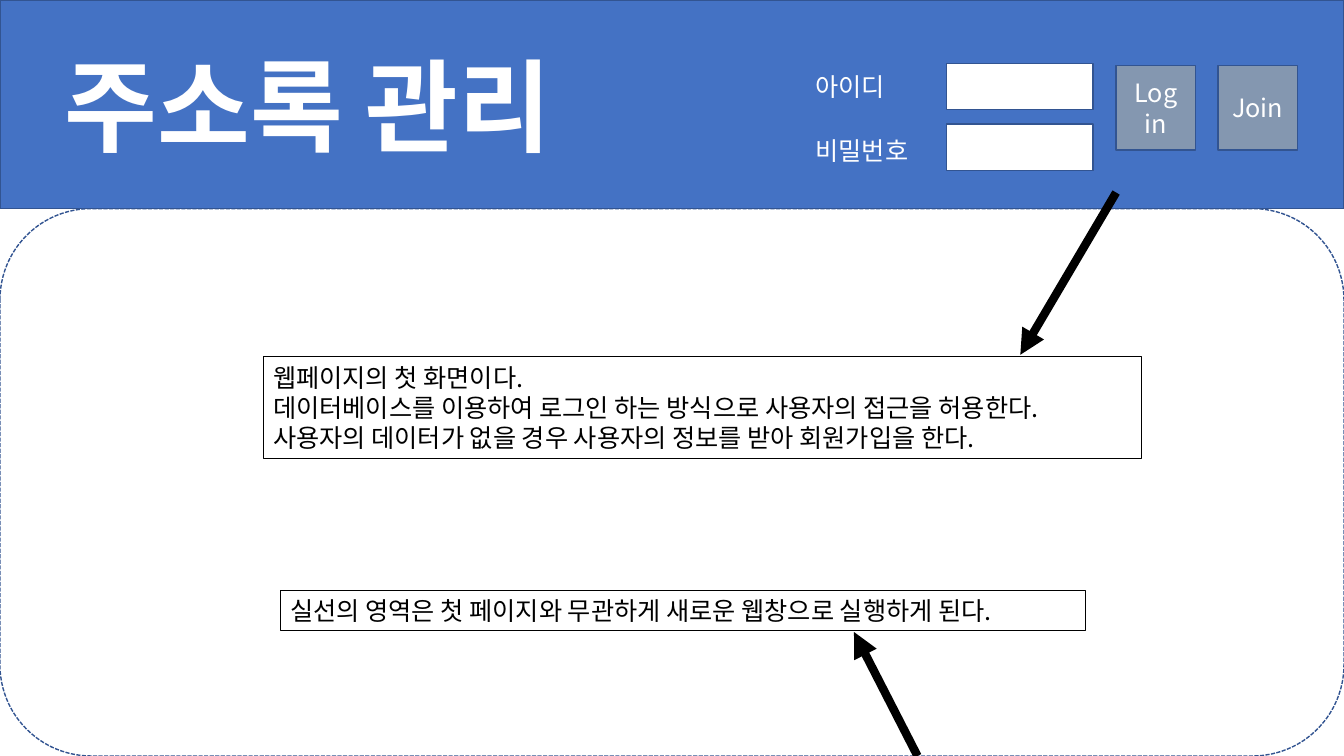
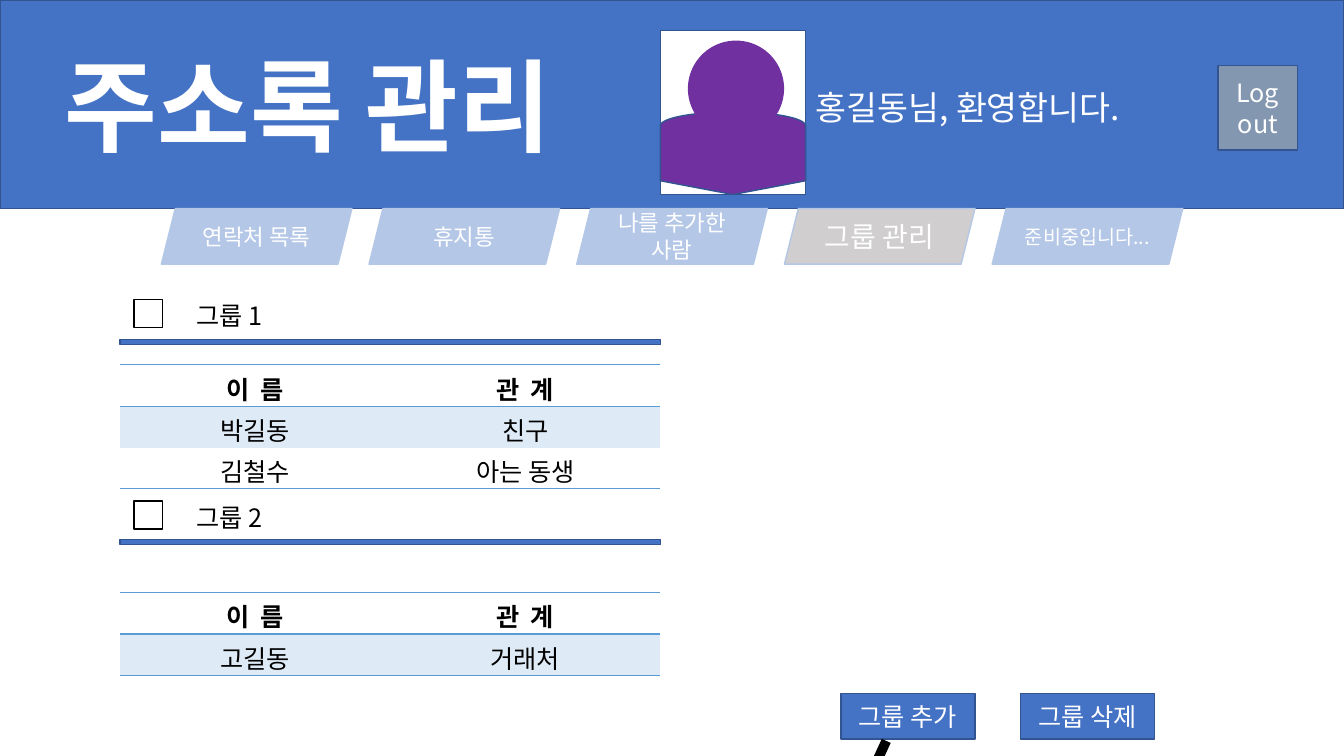
import pptx
import pptx.util
import pptx.dml.color
import pptx.enum.dml
import pptx.enum.shapes
import pptx.enum.text
import pptx.oxml
import pptx.oxml.ns

Inches = pptx.util.Inches
Pt = pptx.util.Pt
RGBColor = pptx.dml.color.RGBColor
MSO_SHAPE = pptx.enum.shapes.MSO_SHAPE
MSO_AUTO_SIZE = pptx.enum.text.MSO_AUTO_SIZE
MSO_ANCHOR = pptx.enum.text.MSO_ANCHOR
PP_ALIGN = pptx.enum.text.PP_ALIGN
qn = pptx.oxml.ns.qn

# Shared style
FONT = "Noto Sans CJK KR"
WHITE = RGBColor(0xFF, 0xFF, 0xFF)
BLACK = RGBColor(0x00, 0x00, 0x00)
BLUE = RGBColor(0x44, 0x72, 0xC4)
EDGE = RGBColor(0x32, 0x54, 0x91)
SLATE = RGBColor(0x84, 0x97, 0xB0)
TAB_BLUE = RGBColor(0xB4, 0xC7, 0xE7)
TAB_GRAY = RGBColor(0xD0, 0xCE, 0xCE)
PURPLE = RGBColor(0x70, 0x30, 0xA0)
RULE = RGBColor(0x5B, 0x9B, 0xD5)
ROW_TINT = RGBColor(0xDE, 0xEB, 0xF7)
WIDTH, HEIGHT, BAND_HEIGHT = 13.33, 7.5, 2.07
PLAIN_TABLE_STYLE = "{2D5ABB26-0587-4C30-8999-92F81FD0307C}"
BUTTON_LEFT = 12.08


def add_xml(parent, tag, **attributes):
    element = pptx.oxml.parse_xml(
        f'<a:{tag} xmlns:a="http://schemas.openxmlformats.org/drawingml/2006/main"/>')
    for key, value in attributes.items():
        element.set(key, value)
    parent.append(element)
    return element


class Page:
    """Holds the deck's style and the slide being built."""

    def __init__(self, deck):
        self.slide = deck.slides.add_slide(deck.slide_layouts[5])
        self.shapes = self.slide.shapes

    def set_text(self, frame, text, size, color, bold=False, align=PP_ALIGN.LEFT, spacing=0):
        frame.text = text
        for paragraph in frame.paragraphs:
            paragraph.alignment = align
            for run in paragraph.runs:
                run.font.size = Pt(size)
                run.font.bold = bold
                run.font.color.rgb = color
                run.font.name = FONT
                properties = run._r.get_or_add_rPr()
                add_xml(properties, "ea", typeface=FONT)
                if spacing:
                    properties.set("spc", str(spacing * 100))

    def shape(self, kind, left, top, width, height, fill, line=EDGE, text="", size=18):
        shape = self.shapes.add_shape(
            kind, Inches(left), Inches(top), Inches(width), Inches(height))
        shape.shadow.inherit = False
        shape.fill.solid()
        shape.fill.fore_color.rgb = fill
        shape.line.color.rgb = line
        shape.line.width = Pt(1)
        if text:
            shape.text_frame.vertical_anchor = MSO_ANCHOR.MIDDLE
            self.set_text(shape.text_frame, text, size, WHITE, align=PP_ALIGN.CENTER)
        return shape

    def rect(self, *place_and_style, **options):
        return self.shape(MSO_SHAPE.RECTANGLE, *place_and_style, **options)

    def button(self, left, text):
        self.rect(left, 0.65, 0.79, 0.84, SLATE, text=text)

    def label(self, left, top, width, height, text, color, size=18, wrap=False, boxed=False):
        box = self.shapes.add_textbox(
            Inches(left), Inches(top), Inches(width), Inches(height))
        box.text_frame.word_wrap = wrap
        box.text_frame.auto_size = MSO_AUTO_SIZE.SHAPE_TO_FIT_TEXT
        if boxed:
            box.line.color.rgb = BLACK
            box.line.width = Pt(0.75)
        self.set_text(box.text_frame, text, size, color)

    def header(self):
        self.rect(0, 0, WIDTH, BAND_HEIGHT, BLUE)
        title = self.shapes.title
        title.left, title.top = Inches(0.54), Inches(0.38)
        title.width, title.height = Inches(5.61), Inches(1.31)
        frame = title.text_frame
        frame.word_wrap = False
        frame.auto_size = MSO_AUTO_SIZE.SHAPE_TO_FIT_TEXT
        frame.vertical_anchor = MSO_ANCHOR.TOP
        self.set_text(frame, "주소록 관리", 72, WHITE, bold=True)
        # Bring the title in front of the band
        self.shapes._spTree.append(title._element)

    def arrow(self, x1, y1, x2, y2, weight=6):
        arrow = self.shapes.add_connector(
            pptx.enum.shapes.MSO_CONNECTOR.STRAIGHT,
            Inches(x1), Inches(y1), Inches(x2), Inches(y2))
        arrow.line.color.rgb = BLACK
        arrow.line.width = Pt(weight)
        add_xml(arrow.line._get_or_add_ln(), "tailEnd", type="triangle")
        add_xml(arrow._element.spPr, "effectLst")

    def cell_border(self, cell, side):
        border = add_xml(cell._tc.get_or_add_tcPr(), side, w=str(Pt(1)))
        fill = add_xml(border, "solidFill")
        add_xml(fill, "srgbClr", val=str(RULE))

    def table(self, top, rows):
        row_height = 0.41
        frame = self.shapes.add_table(
            len(rows), 2, Inches(1.19), Inches(top),
            Inches(5.36), Inches(row_height * len(rows)))
        table = frame.table
        table.horz_banding = False
        table._tbl.tblPr.find(qn("a:tableStyleId")).text = PLAIN_TABLE_STYLE
        for r, row in enumerate(rows):
            table.rows[r].height = Inches(row_height)
            is_header = r == 0
            for c, text in enumerate(row):
                cell = table.cell(r, c)
                self.set_text(cell.text_frame, text, 18, BLACK, bold=is_header,
                              align=PP_ALIGN.CENTER, spacing=2 if is_header else 0)
                if is_header:
                    self.cell_border(cell, "lnT")
                if is_header or r == len(rows) - 1:
                    self.cell_border(cell, "lnB")
                if r % 2:
                    cell.fill.solid()
                    cell.fill.fore_color.rgb = ROW_TINT
                else:
                    cell.fill.background()

    def group(self, name, label_top, bar_top, table_top, members):
        self.rect(1.19, bar_top, 5.36, 0.05, BLUE)
        self.label(1.85, label_top, 0.93, 0.4, name, BLACK)
        self.rect(1.33, label_top + 0.04, 0.28, 0.28, WHITE, line=BLACK)
        self.table(table_top, [("이 름", "관 계")] + members)


deck = pptx.Presentation()
deck.slide_width, deck.slide_height = Inches(WIDTH), Inches(HEIGHT)

# Slide 1: start page with login
start = Page(deck)
content_area = start.shape(MSO_SHAPE.ROUNDED_RECTANGLE, 0, BAND_HEIGHT,
                           WIDTH, HEIGHT - BAND_HEIGHT, WHITE)
content_area.line.dash_style = pptx.enum.dml.MSO_LINE.SQUARE_DOT
start.header()
for field_top in (0.63, 1.23):
    start.rect(9.39, field_top, 1.45, 0.46, WHITE)
start.label(7.99, 0.66, 0.96, 0.4, "아이디", WHITE)
start.label(7.99, 1.29, 1.21, 0.4, "비밀번호", WHITE)
start.button(11.07, "Log\nin")
start.button(BUTTON_LEFT, "Join")
start.label(2.61, 3.54, 8.71, 1.01,
            "웹페이지의 첫 화면이다.\n"
            "데이터베이스를 이용하여 로그인 하는 방식으로 사용자의 접근을 허용한다.\n"
            "사용자의 데이터가 없을 경우 사용자의 정보를 받아 회원가입을 한다.",
            BLACK, boxed=True)
start.arrow(11.07, 1.91, 10.12, 3.52)
start.arrow(9.1, 7.5, 8.47, 6.27)
start.label(2.78, 5.86, 7.99, 0.4,
            "실선의 영역은 첫 페이지와 무관하게 새로운 웹창으로 실행하게 된다.",
            BLACK, boxed=True)

# Slide 2: group management
groups = Page(deck)
groups.header()
groups.label(7.99, 0.81, 3.87, 0.5, "홍길동님, 환영합니다.", WHITE, size=24, wrap=True)
groups.button(BUTTON_LEFT, "Log\nout")

# Menu tabs
TABS = [("연락처 목록", 16, TAB_BLUE), ("휴지통", 16, TAB_BLUE),
        ("나를 추가한 사람", 16, TAB_BLUE), ("그룹 관리", 20, TAB_GRAY),
        ("준비중입니다...", 14, TAB_BLUE)]
for i, (tab_name, tab_size, tab_fill) in enumerate(TABS):
    groups.shape(MSO_SHAPE.PARALLELOGRAM, 1.6 + 2.06 * i, BAND_HEIGHT, 1.89, 0.55,
                 tab_fill, line=TAB_BLUE, text=tab_name, size=tab_size)

# Profile silhouette
groups.rect(6.55, 0.3, 1.44, 1.63, WHITE)
shoulders = groups.shape(MSO_SHAPE.FLOWCHART_DISPLAY, 6.86, 0.8, 0.82, 1.44, PURPLE)
shoulders.rotation = 270
groups.shape(MSO_SHAPE.OVAL, 6.83, 0.41, 0.94, 0.94, PURPLE, line=PURPLE)

# Groups and their members
groups.group("그룹 1", 2.93, 3.37, 3.62, [("박길동", "친구"), ("김철수", "아는 동생")])
groups.group("그룹 2", 4.93, 5.35, 5.88, [("고길동", "거래처")])

# Group actions
for action_left, action in ((8.34, "그룹 추가"), (10.12, "그룹 삭제")):
    groups.rect(action_left, 6.88, 1.33, 0.45, BLUE, text=action)
groups.arrow(8.79, 7.35, 8.57, 7.83, weight=7)

deck.save("out.pptx")
